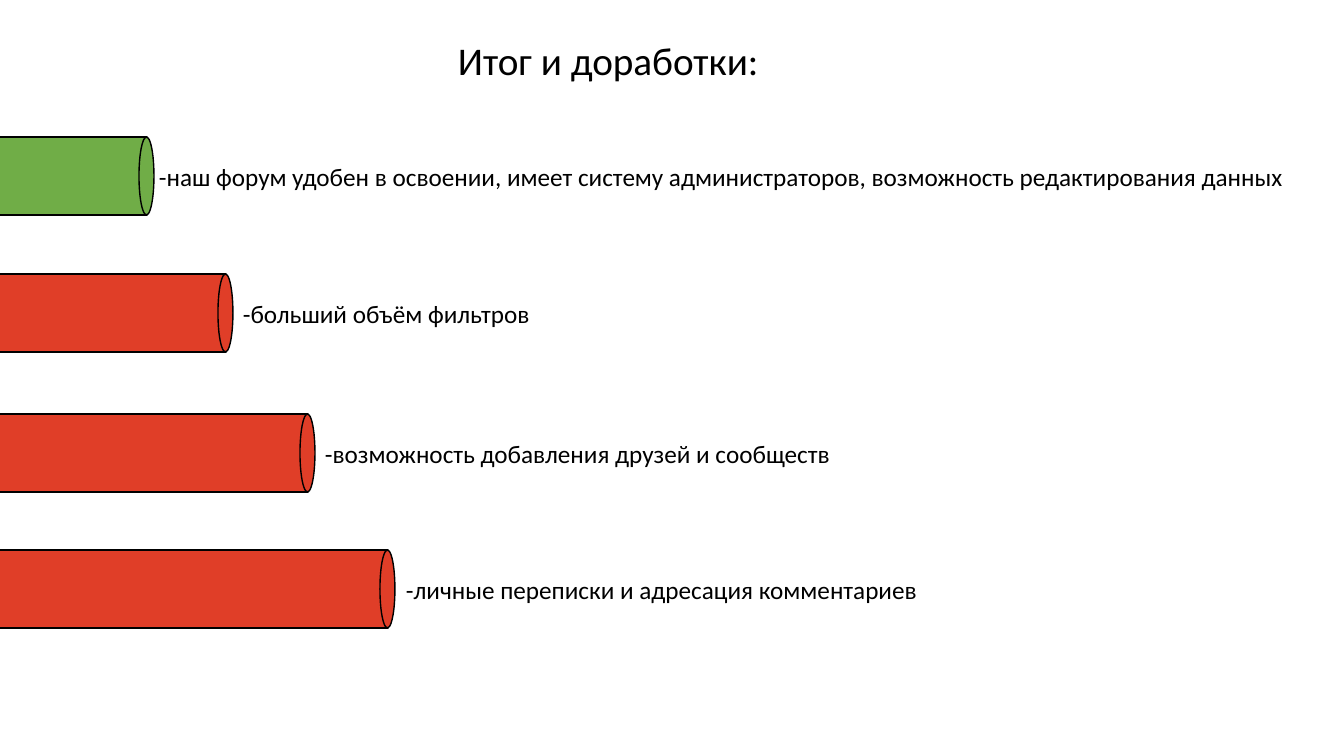
from pptx import Presentation
from pptx.dml.color import RGBColor
from pptx.enum.shapes import MSO_SHAPE
from pptx.enum.text import MSO_AUTO_SIZE
from pptx.util import Emu, Pt

SCALE = 914400 / 100.8
THEME = {
    "font": "Calibri",
    "ink": RGBColor.from_string("000000"),
    "done": RGBColor.from_string("70AD47"),
    "todo": RGBColor.from_string("E03E28"),
    "title": Pt(28),
    "body": Pt(18),
    "line": Pt(1),
}
BAR, CAP, HIGH = 501, 15, 78


def solid(kind, box, color):
    shape = slide.shapes.add_shape(kind, *[Emu(round(n * SCALE)) for n in box])
    shape.shadow.inherit = False
    shape.fill.solid()
    shape.fill.fore_color.rgb = THEME[color]
    shape.line.color.rgb = THEME["ink"]
    shape.line.width = THEME["line"]


def label(text, box, size):
    frame = slide.shapes.add_textbox(*[Emu(round(n * SCALE)) for n in box]).text_frame
    frame.word_wrap = False
    frame.auto_size = MSO_AUTO_SIZE.SHAPE_TO_FIT_TEXT
    run = frame.paragraphs[0].add_run()
    run.text = text
    for key, value in {"name": THEME["font"], "size": THEME[size]}.items():
        setattr(run.font, key, value)
    run.font.color.rgb = THEME["ink"]


deck = Presentation()
deck.slide_width = Emu(round(1344 * SCALE))
deck.slide_height = Emu(round(756 * SCALE))
slide = deck.slides.add_slide(deck.slide_layouts[6])

label("Итог и доработки:", (448, 31, 325, 57), "title")

rows = [
    ("-наш форум удобен в освоении, имеет систему администраторов, возможность редактирования данных",
     "done", 147, 137, 149, 1157),
    ("-больший объём фильтров", "todo", 226, 274, 233, 314),
    ("-возможность добавления друзей и сообществ", "todo", 308, 414, 315, 531),
    ("-личные переписки и адресация комментариев", "todo", 388, 550, 396, 537),
]
for text, color, end, top, left, width in rows:
    solid(MSO_SHAPE.RECTANGLE, (end - BAR, top, BAR, HIGH), color)
    solid(MSO_SHAPE.OVAL, (end - 8, top, CAP, HIGH), color)
    label(text, (left, top + 19, width, 40), "body")

deck.save("out.pptx")
